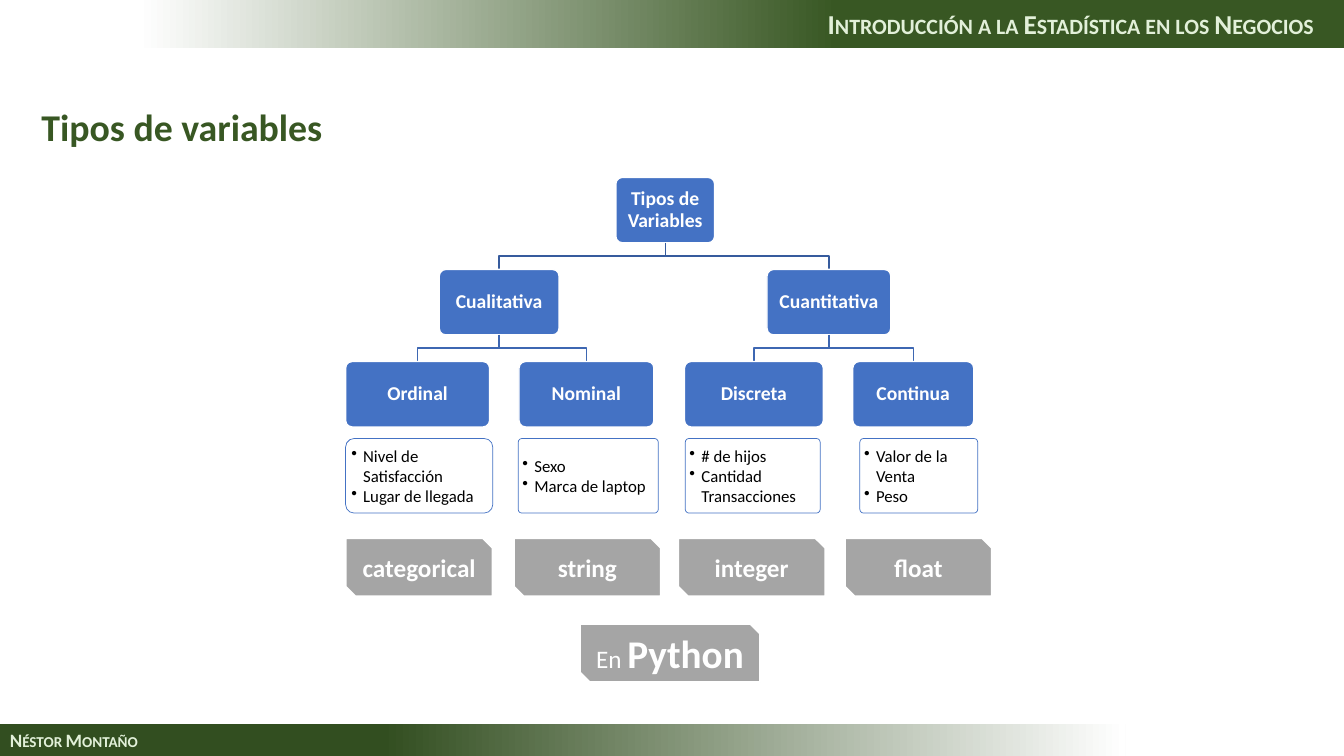
from dataclasses import dataclass

from lxml.etree import SubElement
from pptx import Presentation
from pptx.dml.color import RGBColor
from pptx.enum.shapes import MSO_SHAPE as Preset
from pptx.enum.text import MSO_ANCHOR as Anchor, PP_ALIGN as Align
from pptx.oxml.ns import qn
from pptx.util import Cm, Pt


@dataclass(frozen=True)
class Theme:
    font: str = "Calibri"
    white: str = "FFFFFF"
    black: str = "000000"
    green: str = "385723"
    footer_green: str = "324E20"
    pale_green: str = "E2F0D9"
    blue: str = "4472C4"
    link_blues: tuple = ("365B9D", "3E67B2")
    grey: str = "A5A5A5"
    title: float = 27
    header: float = 19.5
    footer: float = 13.5
    node: float = 14
    example: float = 12
    tag: float = 18
    language: float = 28


@dataclass(frozen=True)
class Box:
    """A rectangle in centimetres."""
    left: float
    top: float
    width: float
    height: float

    @property
    def emu(self):
        return [Cm(n) for n in (self.left, self.top, self.width, self.height)]

    @property
    def middle(self):
        return self.left + self.width / 2

    @property
    def bottom(self):
        return self.top + self.height

    def inner(self, left, top, width, height):
        return Box(self.left + left, self.top + top, width, height)


THEME = Theme()
NODE_HEIGHT, LEVEL_STEP = 1.65, 2.32
ROOT = ("Tipos de Variables", 6.81, 2.49)
# Each branch: name, left, width, and its leaves
BRANCHES = [
    ("Cualitativa", 2.36, 3.02, [("Ordinal", 0, 3.63), ("Nominal", 4.37, 3.4)]),
    ("Cuantitativa", 10.62, 3.12, [("Discreta", 8.54, 3.5), ("Continua", 12.78, 3.05)]),
]
# Left, width, corner and items of each list
EXAMPLES = [
    (0, 3.71, 0.115, ["Nivel de Satisfacción", "Lugar de llegada"]),
    (4.35, 3.53, 0.05, ["Sexo", "Marca de laptop"]),
    (8.56, 3.4, 0.05, ["# de hijos", "Cantidad Transacciones"]),
    (12.96, 2.97, 0.05, ["Valor de la Venta", "Peso"]),
]
TAGS = [("categorical", 0), ("string", 4.24), ("integer", 8.38), ("float", 12.58)]


def rgb(color):
    return RGBColor.from_string(color)


def add_span(para, text, size, color, bold=True):
    span = para.add_run()
    span.text = text
    span.font.name = THEME.font
    span.font.size = Pt(size)
    span.font.bold = bold
    span.font.color.rgb = rgb(color)
    return span


def add_panel(page, preset, box, fill=None, line=None, weight=1.0, inset=0.25):
    """Add a preset shape without shadow, ready for vertically centred text."""
    panel = page.shapes.add_shape(preset, *box.emu)
    panel.shadow.inherit = False
    if fill:
        panel.fill.solid()
        panel.fill.fore_color.rgb = rgb(fill)
    else:
        panel.fill.background()
    if line:
        panel.line.color.rgb = rgb(line)
        panel.line.width = Pt(weight)
    else:
        panel.line.fill.background()
    frame = panel.text_frame
    frame.word_wrap = True
    frame.vertical_anchor = Anchor.MIDDLE
    frame.margin_left = frame.margin_right = Cm(inset)
    frame.margin_top = frame.margin_bottom = Cm(min(inset, 0.13))
    return panel


def add_band(page, box, text, size, stops, align, margins):
    """Add a gradient strip; stops are (position, color) from left to right."""
    band = add_panel(page, Preset.RECTANGLE, box)
    band.fill.gradient()
    band.fill.gradient_angle = 0
    for stop, (position, color) in zip(band.fill.gradient_stops, stops):
        stop.position = position
        stop.color.rgb = rgb(color)
    frame = band.text_frame
    frame.margin_left, frame.margin_right = (Cm(n) for n in margins)
    para = frame.paragraphs[0]
    para.alignment = align
    span = add_span(para, text, size, THEME.pale_green)
    span.font._element.set("cap", "small")


def add_title(page, box, text):
    title = page.shapes.title
    title.left, title.top, title.width, title.height = box.emu
    title.text_frame.vertical_anchor = Anchor.MIDDLE
    para = title.text_frame.paragraphs[0]
    para.alignment = Align.LEFT
    para.line_spacing = 0.9
    add_span(para, text, THEME.title, THEME.green)


def add_node(page, box, text):
    node = add_panel(page, Preset.ROUNDED_RECTANGLE, box, THEME.blue, THEME.white, inset=0.2)
    node.adjustments[0] = 0.1
    para = node.text_frame.paragraphs[0]
    para.alignment = Align.CENTER
    para.line_spacing = 0.9
    add_span(para, text, THEME.node, THEME.white)


def add_link(page, parent, child, color):
    """Draw the stepped line from a parent's bottom to a child's top."""
    halfway = (parent.bottom + child.top) / 2
    builder = page.shapes.build_freeform(Cm(parent.middle), Cm(parent.bottom))
    corners = [(parent.middle, halfway), (child.middle, halfway), (child.middle, child.top)]
    builder.add_line_segments([(Cm(x), Cm(y)) for x, y in corners], close=False)
    link = builder.convert_to_shape()
    link.shadow.inherit = False
    link.fill.background()
    link.line.color.rgb = rgb(color)
    link.line.width = Pt(1)


def add_tree(page, box):
    def node_box(level, left, width):
        return box.inner(left, level * LEVEL_STEP, width, NODE_HEIGHT)

    name, left, width = ROOT
    root = node_box(0, left, width)
    add_node(page, root, name)
    for name, left, width, leaves in BRANCHES:
        branch = node_box(1, left, width)
        add_link(page, root, branch, THEME.link_blues[0])
        add_node(page, branch, name)
        for leaf_name, leaf_left, leaf_width in leaves:
            leaf = node_box(2, leaf_left, leaf_width)
            add_link(page, branch, leaf, THEME.link_blues[1])
            add_node(page, leaf, leaf_name)


def add_examples(page, box):
    for left, width, corner, items in EXAMPLES:
        panel = add_panel(page, Preset.ROUNDED_RECTANGLE, box.inner(left, 0, width, box.height),
                          line=THEME.blue, weight=0.5, inset=0.08)
        panel.adjustments[0] = corner
        frame = panel.text_frame
        for index, item in enumerate(items):
            para = frame.add_paragraph() if index else frame.paragraphs[0]
            para.alignment = Align.LEFT
            properties = para._p.get_or_add_pPr()
            properties.set("marL", str(Cm(0.3)))
            properties.set("indent", str(-Cm(0.3)))
            SubElement(properties, qn("a:buChar")).set("char", "•")
            add_span(para, item, THEME.example, THEME.black, bold=False)


def add_tag(page, box, *spans):
    """Add a snipped grey label; spans are (text, size, bold)."""
    tag = add_panel(page, Preset.SNIP_2_DIAG_RECTANGLE, box, THEME.grey, THEME.white, 1.5)
    para = tag.text_frame.paragraphs[0]
    para.alignment = Align.CENTER
    for text, size, bold in spans:
        add_span(para, text, size, THEME.white, bold)


def add_python_types(page, box):
    for name, left in TAGS:
        add_tag(page, box.inner(left, 0, 3.71, 1.47), (name, THEME.tag, True))
    add_tag(page, box.inner(5.9, 2.16, 4.55, 1.47),
            ("En ", THEME.tag, False), ("Python", THEME.language, True))


def main():
    deck = Presentation()
    deck.slide_width, deck.slide_height = Cm(33.87), Cm(19.05)
    page = deck.slides.add_slide(deck.slide_layouts[5])
    add_band(page, Box(0, 18.24, 28.37, 0.81), "Néstor Montaño", THEME.footer,
             [(0.34, THEME.footer_green), (1, THEME.white)], Align.LEFT, (0.25, 0.76))
    add_band(page, Box(3.48, 0, 30.39, 1.2), "Introducción a la Estadística en los Negocios",
             THEME.header, [(0, THEME.white), (0.58, THEME.green)], Align.RIGHT, (0.25, 0.76))
    add_title(page, Box(0.79, 2.51, 32.23, 1.47), "Tipos de variables")
    add_tree(page, Box(8.71, 4.47, 15.83, 6.29))
    add_examples(page, Box(8.71, 11.05, 15.93, 1.88))
    add_python_types(page, Box(8.71, 13.56, 16.29, 3.63))
    deck.save("out.pptx")


if __name__ == "__main__":
    main()
